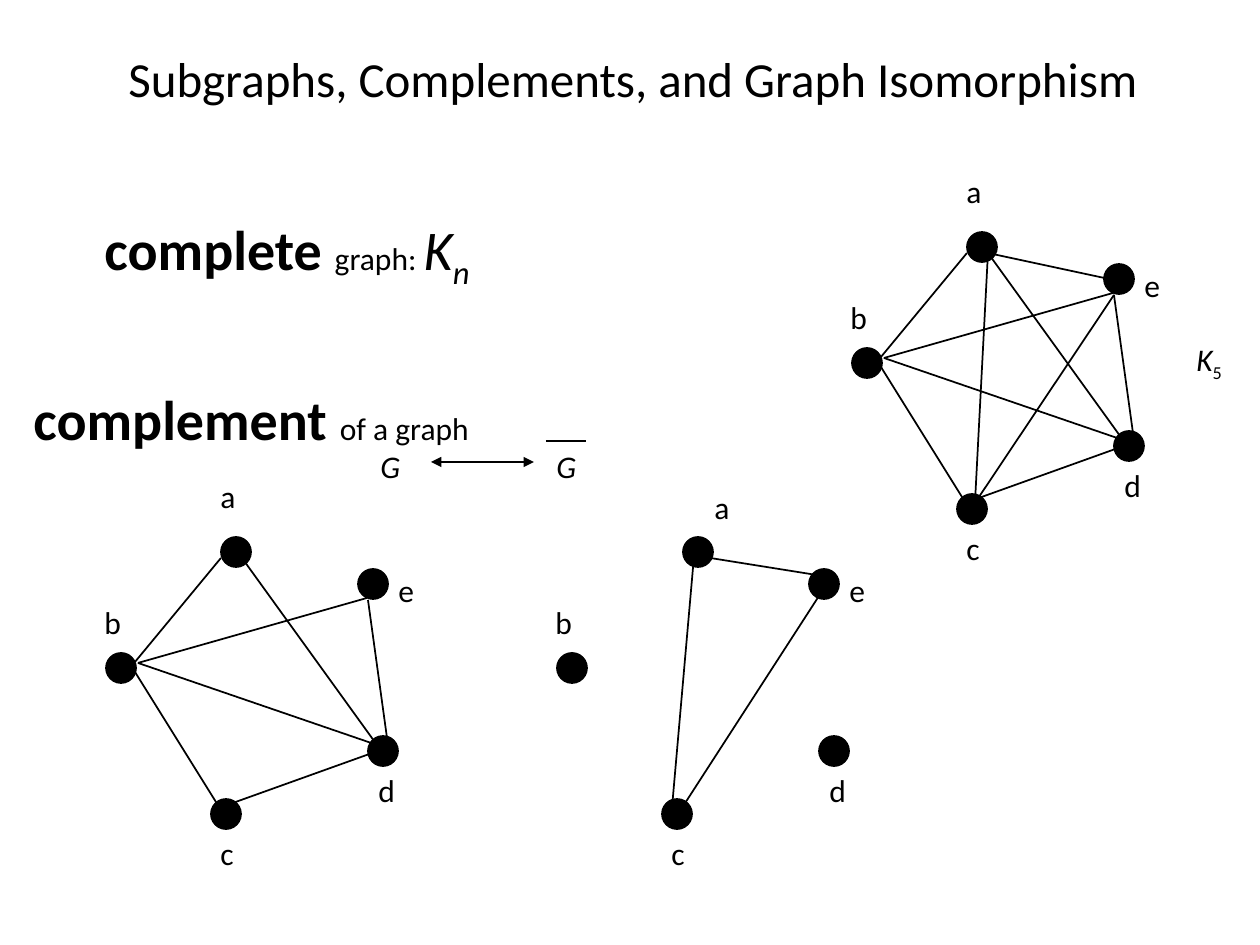
from lxml.etree import SubElement
from pptx import Presentation
from pptx.dml.color import RGBColor
from pptx.enum.shapes import MSO_CONNECTOR, MSO_SHAPE
from pptx.enum.text import MSO_ANCHOR, MSO_AUTO_SIZE
from pptx.oxml.ns import qn
from pptx.util import Emu, Pt

BLACK = RGBColor(0, 0, 0)
PX = 914400 // 126
NODE_SIZE = 30
LABEL_SIZE = (44, 63)

SMALL = {"size": Pt(18)}
ITALIC = {"size": Pt(18), "italic": True}
STRONG = {"size": Pt(32), "bold": True}
SYMBOL = {"size": Pt(32), "italic": True}

TEXTS = [
    ((116, 42, 1046, 72), [("Subgraphs, Complements, and Graph Isomorphism", {"size": Pt(28)}, 0)]),
    ((92, 208, 396, 81), [("complete ", STRONG, 0), ("graph: ", SMALL, 0), ("K", SYMBOL, 0), ("n", SYMBOL, -25)]),
    ((1184, 334, 67, 63), [("K", ITALIC, 0), ("5", SMALL, -25)]),
    ((21, 378, 465, 81), [("complement ", STRONG, 0), ("of a graph", SMALL, 0)]),
    ((368, 441, 46, 50), [("G", ITALIC, 0)]),
    ((544, 441, 46, 50), [("G", ITALIC, 0)]),
]
OVERBAR = (546, 441, 586, 441)
CORRESPONDENCE = (431, 462, 534, 462)

NODES = {"a": (115, 0), "b": (0, 116), "c": (105, 262), "d": (262, 199), "e": (252, 32)}
LABELS = {"a": (102, -66), "b": (-14, 60), "c": (102, 291), "d": (260, 228), "e": (280, 28)}
EDGES = {
    "ab": (115, 21, 29, 125),
    "be": (32, 126, 261, 61),
    "ed": (262, 63, 282, 208),
    "dc": (283, 210, 113, 271),
    "cb": (115, 273, 29, 135),
    "ad": (136, 21, 271, 208),
    "bd": (32, 126, 271, 208),
    "ae": (136, 21, 271, 50),
    "ac": (136, 21, 123, 271),
    "ec": (262, 63, 123, 271),
}
COMPLEMENT_EDGES = {
    "ae": (147, 20, 272, 40),
    "ac": (137, 20, 115, 271),
    "ec": (273, 42, 125, 271),
}
GRAPHS = [
    ((852, 232), NODES, LABELS, EDGES),
    ((106, 537), NODES, LABELS,
     {name: ends for name, ends in EDGES.items() if name not in COMPLEMENT_EDGES}),
    ((557, 537), NODES | {"a": (126, 0)}, LABELS | {"a": (145, -55)}, COMPLEMENT_EDGES),
]


def emu(*lengths):
    return [Emu(length * PX) for length in lengths]


def add_text(slide, box, runs):
    frame = slide.shapes.add_textbox(*emu(*box)).text_frame
    frame.word_wrap = False
    frame.auto_size = MSO_AUTO_SIZE.SHAPE_TO_FIT_TEXT
    frame.vertical_anchor = MSO_ANCHOR.TOP
    for text, style, baseline in runs:
        run = frame.paragraphs[0].add_run()
        run.text = text
        for name, value in ({"name": "Calibri"} | style).items():
            setattr(run.font, name, value)
        run.font.color.rgb = BLACK
        if baseline:
            run._r.get_or_add_rPr().set("baseline", str(baseline * 1000))


def add_line(slide, ends, arrows=()):
    connector = slide.shapes.add_connector(MSO_CONNECTOR.STRAIGHT, *emu(*ends))
    connector.line.color.rgb = BLACK
    connector.line.width = Pt(1)
    for tag in arrows:
        SubElement(connector.line._get_or_add_ln(), qn(tag), type="triangle")
    SubElement(connector._element.spPr, qn("a:effectLst"))


def add_node(slide, left, top):
    node = slide.shapes.add_shape(MSO_SHAPE.OVAL, *emu(left, top, NODE_SIZE, NODE_SIZE))
    node.shadow.inherit = False
    node.fill.solid()
    node.fill.fore_color.rgb = BLACK
    node.line.color.rgb = BLACK
    node.line.width = Pt(1)


def add_graph(slide, origin, nodes, labels, edges):
    x, y = origin
    for left, top in nodes.values():
        add_node(slide, x + left, y + top)
    for x1, y1, x2, y2 in edges.values():
        add_line(slide, (x + x1, y + y1, x + x2, y + y2))
    for letter, (left, top) in labels.items():
        add_text(slide, (x + left, y + top, *LABEL_SIZE), [(letter, SMALL, 0)])


def main():
    """Build the slide on complete graphs and graph complements."""
    presentation = Presentation()
    presentation.slide_width, presentation.slide_height = emu(1260, 945)
    slide = presentation.slides.add_slide(presentation.slide_layouts[6])
    for box, runs in TEXTS:
        add_text(slide, box, runs)
    add_line(slide, OVERBAR)
    add_line(slide, CORRESPONDENCE, ("a:headEnd", "a:tailEnd"))
    for graph in GRAPHS:
        add_graph(slide, *graph)
    presentation.save("out.pptx")


if __name__ == "__main__":
    main()
